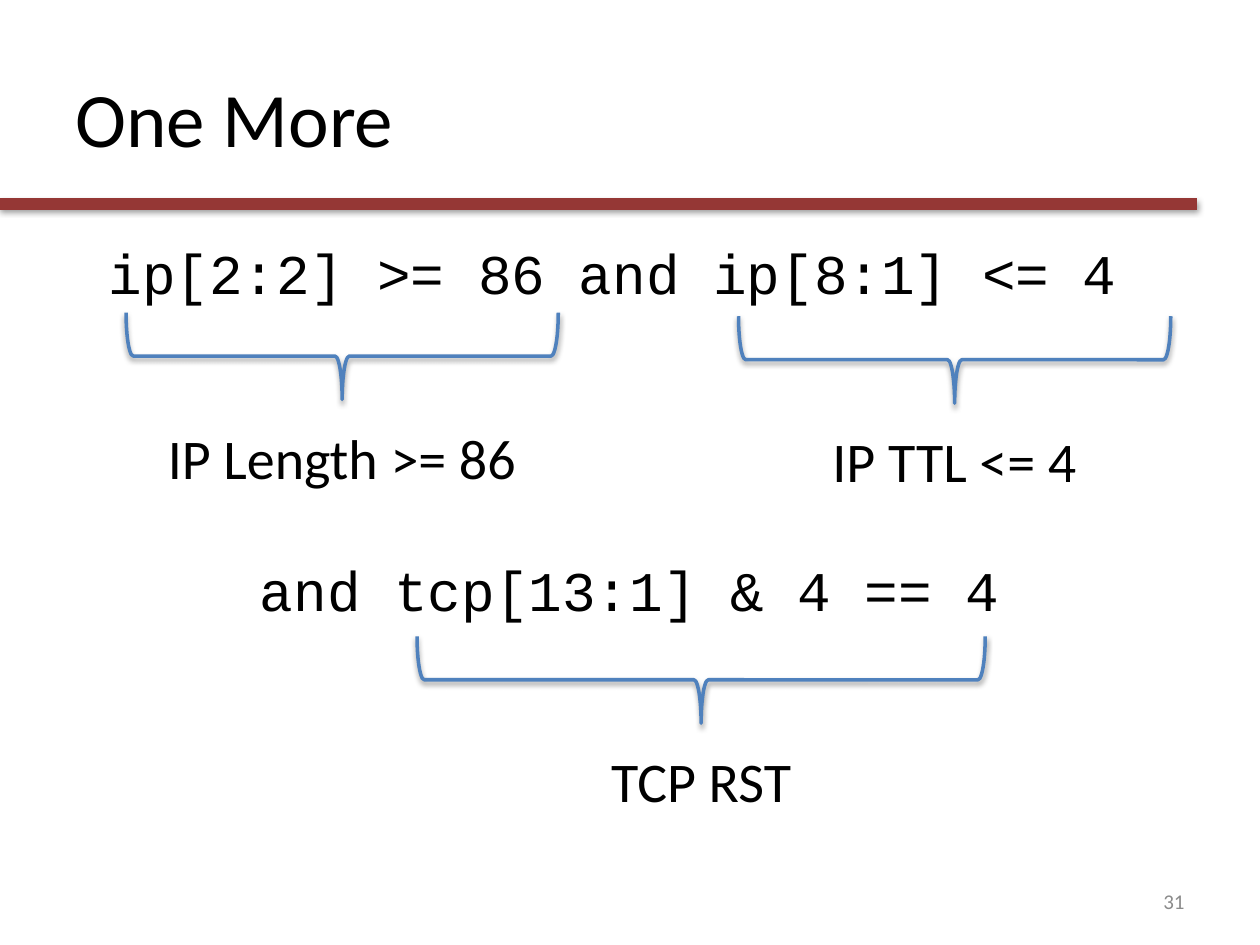
import lxml.etree
import pptx
import pptx.dml.color
import pptx.enum.shapes
import pptx.enum.text
import pptx.oxml.ns
import pptx.util

Pt = pptx.util.Pt
ALIGN = pptx.enum.text.PP_ALIGN
ANCHOR = pptx.enum.text.MSO_ANCHOR
BLACK = pptx.dml.color.RGBColor(0x00, 0x00, 0x00)
GREY = pptx.dml.color.RGBColor(0x8B, 0x8B, 0x8B)
RED = pptx.dml.color.RGBColor(0x95, 0x37, 0x35)
BLUE = pptx.dml.color.RGBColor(0x4F, 0x81, 0xBD)


def add_element(parent, tag, **attributes):
    return lxml.etree.SubElement(parent, pptx.oxml.ns.qn(tag), **attributes)


def add_soft_shadow(shape):
    effects = add_element(shape._element.spPr, "a:effectLst")
    shadow = add_element(effects, "a:outerShdw", blurRad=str(Pt(3.1)), dist=str(Pt(1.6)),
                         dir="5400000", rotWithShape="0")
    color = add_element(shadow, "a:srgbClr", val="000000")
    add_element(color, "a:alpha", val="38000")


def place(shape, left, top, width, height):
    shape.left, shape.top = Pt(left), Pt(top)
    shape.width, shape.height = Pt(width), Pt(height)


def write(paragraph, text, size=32, font="Calibri", color=BLACK, align=ALIGN.CENTER, before=0):
    paragraph.text = text
    paragraph.alignment = align
    paragraph.space_before = Pt(before)
    paragraph.font.size = Pt(size)
    paragraph.font.name = font
    paragraph.font.color.rgb = color


def add_label(slide, text, left, top, width, height, anchor=ANCHOR.TOP, **text_format):
    label = slide.shapes.add_textbox(Pt(left), Pt(top), Pt(width), Pt(height))
    label.text_frame.word_wrap = True
    label.text_frame.vertical_anchor = anchor
    write(label.text_frame.paragraphs[0], text, **text_format)


def add_heading(slide, left, top, width, height):
    heading = slide.shapes.title
    place(heading, left, top, width, height)
    heading.text_frame.auto_size = pptx.enum.text.MSO_AUTO_SIZE.NONE
    heading.text_frame.vertical_anchor = ANCHOR.MIDDLE
    write(heading.text_frame.paragraphs[0], "One More", size=44, align=ALIGN.LEFT)


def add_rule(slide, left, top, width):
    rule = slide.shapes.add_connector(pptx.enum.shapes.MSO_CONNECTOR.STRAIGHT,
                                      Pt(left), Pt(top), Pt(left + width), Pt(top))
    rule.line.color.rgb = RED
    rule.line.width = Pt(6.5)
    add_soft_shadow(rule)


def add_filter(slide, left, top, width, height):
    body = slide.placeholders[1]
    place(body, left, top, width, height)
    frame = body.text_frame
    frame.auto_size = pptx.enum.text.MSO_AUTO_SIZE.NONE
    clauses = [("ip[2:2] >= 86 and ip[8:1] <= 4 ", 0), ("and tcp[13:1] & 4 == 4", 143)]
    for index, (clause, before) in enumerate(clauses):
        paragraph = frame.add_paragraph() if index else frame.paragraphs[0]
        properties = paragraph._p.get_or_add_pPr()
        properties.set("marL", "0")
        properties.set("indent", "0")
        add_element(properties, "a:buNone")
        write(paragraph, clause, font="Courier New", before=before)


def add_explanation(slide, meaning, left, top, width, depth=49.7):
    brace = slide.shapes.add_shape(pptx.enum.shapes.MSO_SHAPE.RIGHT_BRACE,
                                   Pt(left + (width - depth) / 2), Pt(top + (depth - width) / 2),
                                   Pt(depth), Pt(width))
    brace.rotation = 90
    brace.adjustments[0] = 0.083
    brace.fill.background()
    brace.line.color.rgb = BLUE
    brace.line.width = Pt(2)
    add_soft_shadow(brace)
    add_label(slide, meaning, left, top + depth + 10, width, 45)


def main():
    presentation = pptx.Presentation()
    presentation.slide_width, presentation.slide_height = Pt(720), Pt(540)
    slide = presentation.slides.add_slide(presentation.slide_layouts[1])
    add_rule(slide, 0, 116.6, 684)
    add_heading(slide, 36, 21.6, 648, 90)
    add_filter(slide, 36, 132.4, 648, 350)
    add_explanation(slide, "IP Length >= 86", 72, 178.6, 247)
    add_explanation(slide, "IP TTL <= 4", 422, 180.7, 247)
    add_explanation(slide, "TCP RST", 238.3, 363.6, 324.7)
    add_label(slide, "31", 516, 500.5, 168, 28.8, anchor=ANCHOR.MIDDLE,
              size=12, color=GREY, align=ALIGN.RIGHT)
    presentation.save("out.pptx")


if __name__ == "__main__":
    main()
